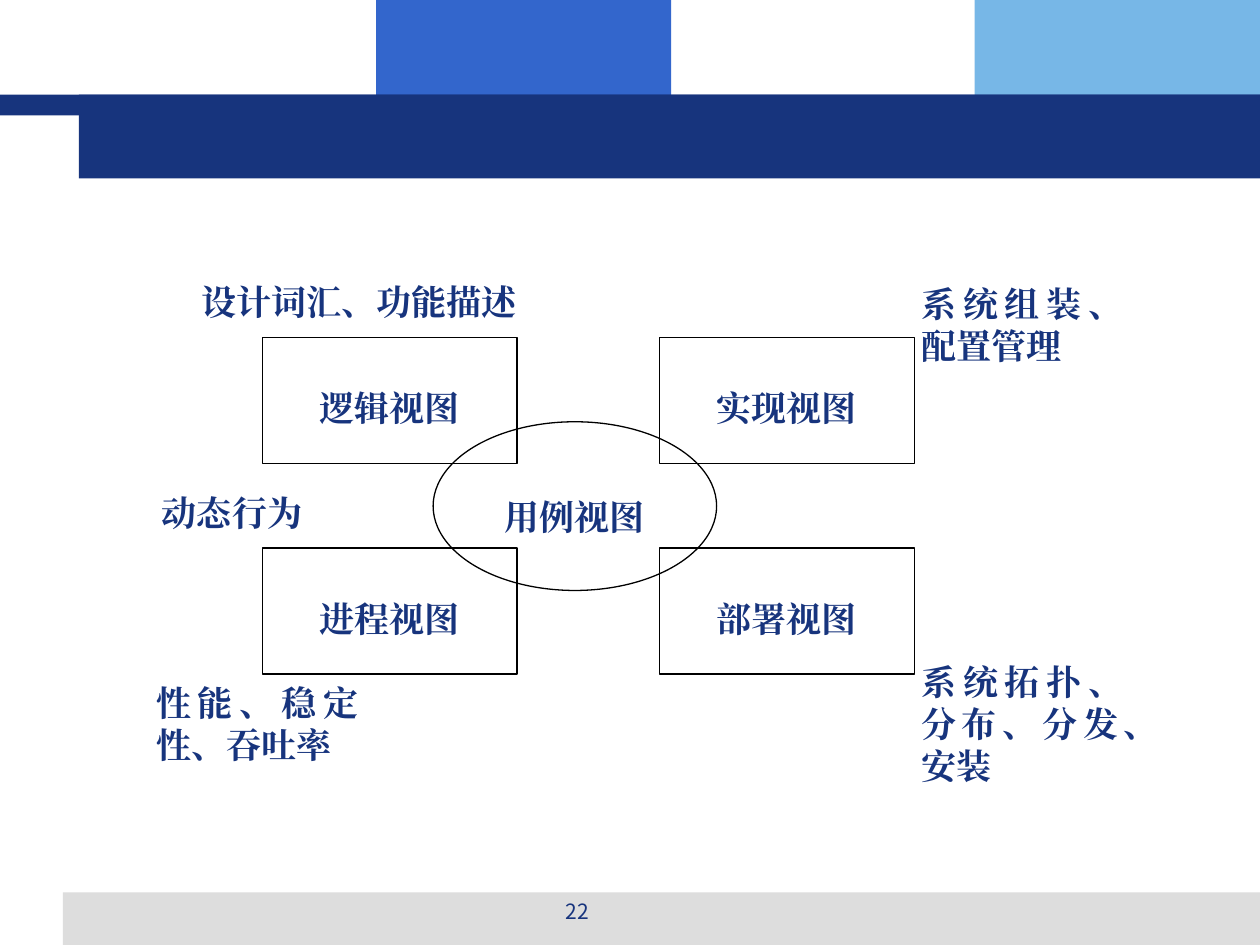
from lxml import etree
from pptx import Presentation
from pptx.dml.color import RGBColor
from pptx.enum import lang, shapes, text
from pptx.oxml.ns import qn
from pptx.util import Pt

NAVY = "17347D"
SERIF = "Times New Roman"
SANS = "Noto Sans CJK SC"
CENTER, JUSTIFY = text.PP_ALIGN.CENTER, text.PP_ALIGN.JUSTIFY


def color(value):
    return RGBColor.from_string(value)


def add_panel(page, kind, place, fill=None, line=None):
    """Add a preset shape; place is left, top, width, height in points."""
    shape = page.shapes.add_shape(kind, *map(Pt, place))
    shape.shadow.inherit = False
    if fill:
        shape.fill.solid()
        shape.fill.fore_color.rgb = color(fill)
    else:
        shape.fill.background()
    if line:
        shape.line.color.rgb = color(line)
        shape.line.width = Pt(0.75)
    else:
        shape.line.fill.background()
    return shape


def write(box, words, align, size=20, bold=True, face=SERIF, spacing=24):
    frame = box.text_frame
    frame.word_wrap = True
    frame.vertical_anchor = text.MSO_ANCHOR.TOP
    para = frame.paragraphs[0]
    para.text = words
    para.alignment = align
    if spacing:
        para.line_spacing = Pt(spacing)
    font = para.font
    font.size, font.bold, font.name = Pt(size), bold, face
    font.color.rgb = color(NAVY)
    # Chinese characters follow the same typeface setting
    properties = para._p.pPr.find(qn("a:defRPr"))
    etree.SubElement(properties, qn("a:ea")).set("typeface", face)
    for span in para.runs:
        span.font.language_id = lang.MSO_LANGUAGE_ID.SIMPLIFIED_CHINESE


def add_view(page, kind, place, name):
    """Add an outlined view whose name sits one line below its top."""
    view = add_panel(page, kind, place, line="000000")
    view.text_frame.margin_top = Pt(28)
    write(view, name, CENTER)


def add_label(page, place, words, align=JUSTIFY, **style):
    write(page.shapes.add_textbox(*map(Pt, place)), words, align, **style)


def main():
    deck = Presentation()
    deck.slide_width, deck.slide_height = Pt(720), Pt(540)
    page = deck.slides.add_slide(deck.slide_layouts[6])
    rect, oval = shapes.MSO_SHAPE.RECTANGLE, shapes.MSO_SHAPE.OVAL

    # Header and footer bands
    for place, fill in [
        ((215, 0, 168.5, 66), "3366CC"),
        ((557, 0, 163, 66), "77B7E7"),
        ((36, 510, 684, 30), "DDDDDD"),
        ((0, 54, 720, 12), NAVY),
        ((45, 54, 675, 48), NAVY),
    ]:
        add_panel(page, rect, place, fill)

    # Four views around the use case view
    names = [["逻辑视图", "实现视图"], ["进程视图", "部署视图"]]
    for top, row in zip((192.8, 313.2), names):
        for left, name in zip((149.9, 376.9), row):
            add_view(page, rect, (left, top, 145.6, 72), name)
    add_view(page, oval, (247.5, 241, 162, 96.4), "用例视图")

    # Concerns beside each view
    for place, words in [
        ((85.5, 277.5, 113, 36), "动态行为"),
        ((108, 157, 242.6, 36), "设计词汇、功能描述"),
        ((519.5, 158, 129.6, 111), "系统组装、配置管理"),
        ((82.2, 386, 129.6, 111), "性能、稳定性、吞吐率"),
        ((519.5, 374, 129.6, 111), "系统拓扑、分布、分发、安装"),
    ]:
        add_label(page, place, words)

    # Page number
    add_label(page, (246, 509.8, 168, 25.2), "22", CENTER,
              size=12, bold=False, face=SANS, spacing=None)

    deck.save("out.pptx")


if __name__ == "__main__":
    main()
